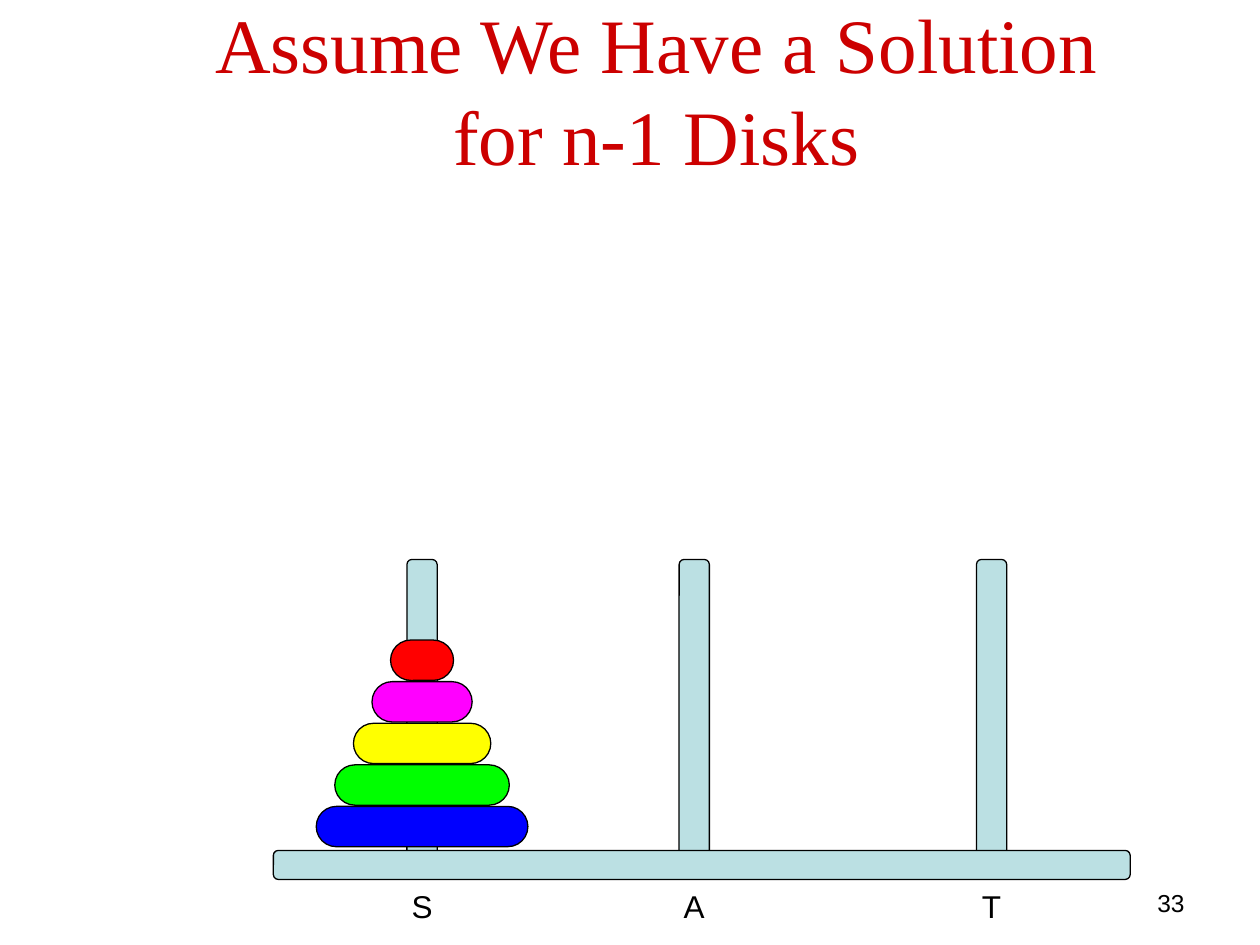
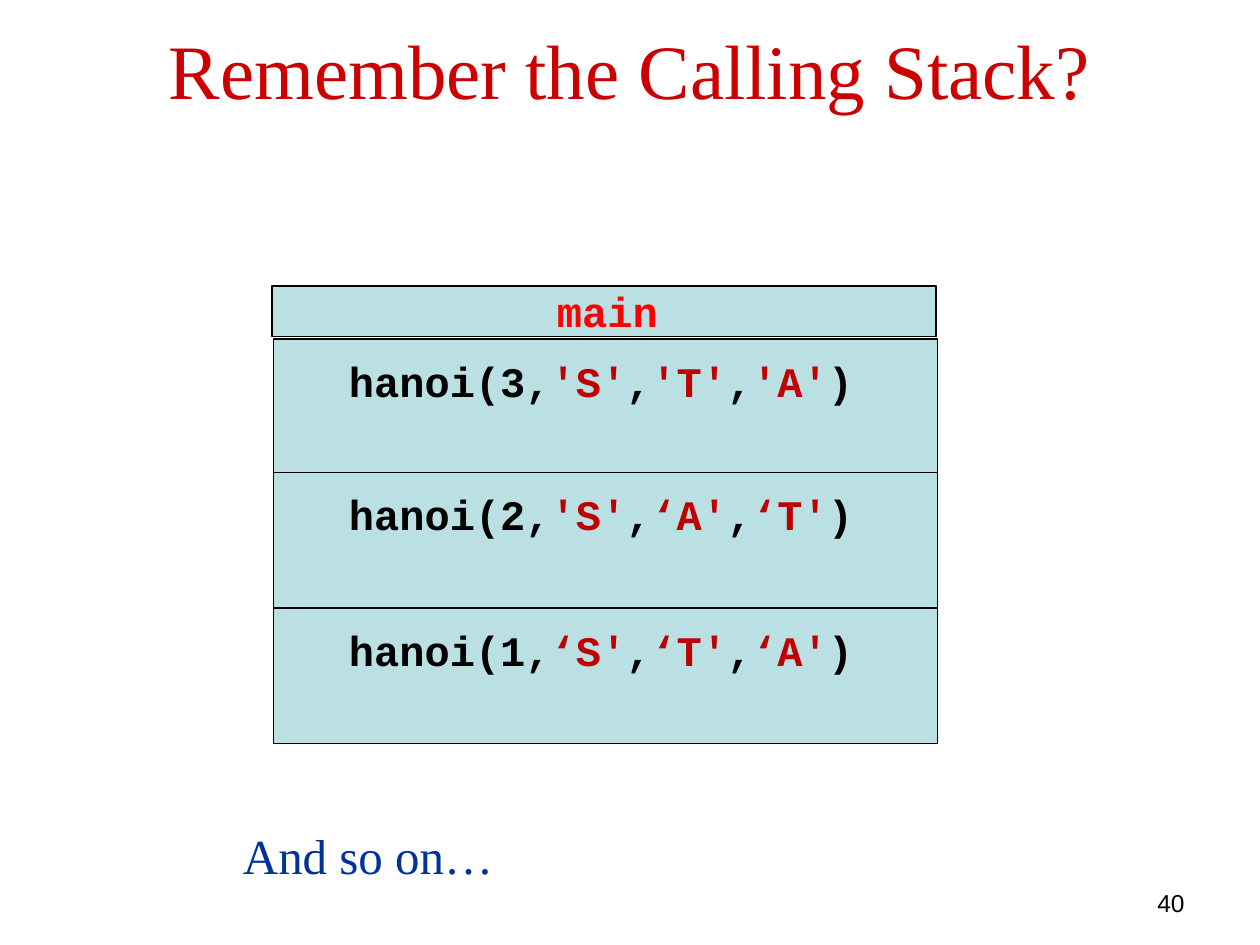
from pptx import Presentation
from pptx.dml.color import RGBColor
from pptx.enum import shapes as kinds, text as txt
from pptx.util import Inches, Pt

BLACK, WOOD = "000000", "BBE0E3"
TITLE, QUOTE, NOTE = "CC0000", "C00000", "003399"
SANS, SERIF, MONO = "Arial", "Times New Roman", "Courier New"
LEFT, MID, RIGHT = txt.PP_ALIGN.LEFT, txt.PP_ALIGN.CENTER, txt.PP_ALIGN.RIGHT
RECT, ROUND = kinds.MSO_SHAPE.RECTANGLE, kinds.MSO_SHAPE.ROUNDED_RECTANGLE


def color(code):
    return RGBColor.from_string(code)


def add_text(parent, box, runs, size, font, align=MID, bold=False,
             anchor=txt.MSO_ANCHOR.TOP):
    """Add a text box; runs are (text, colour) pairs."""
    frame = parent.add_textbox(*map(Inches, box)).text_frame
    frame.word_wrap = True
    frame.vertical_anchor = anchor
    para = frame.paragraphs[0]
    para.alignment = align
    for words, code in runs:
        run = para.add_run()
        run.text = words
        run.font.name = font
        run.font.size = Pt(size)
        run.font.bold = bold
        run.font.color.rgb = color(code)


def add_block(parent, kind, box, fill, curve=None):
    block = parent.add_shape(kind, *map(Inches, box))
    block.shadow.inherit = False
    block.fill.solid()
    block.fill.fore_color.rgb = color(fill)
    block.line.color.rgb = color(BLACK)
    block.line.width = Pt(0.75)
    if curve is not None:
        block.adjustments[0] = curve


def add_slide(deck, number, title, box):
    """Add a slide with its page number and title; return its shapes."""
    parts = deck.slides.add_slide(deck.slide_layouts[6]).shapes
    add_text(parts, (7.17, 7, 2.33, 0.25), [(number, BLACK)], 14, SANS, RIGHT)
    add_text(parts, box, [(title, TITLE)], 44, SERIF,
             anchor=txt.MSO_ANCHOR.MIDDLE)
    return parts


def add_tower(parts):
    pegs = {"S": 3.35, "A": 5.51, "T": 7.87}
    for name, mid in pegs.items():
        add_block(parts, ROUND, (mid - 0.12, 4.44, 0.24, 2.45), WOOD, 0.167)
        add_text(parts, (mid - 0.38, 6.99, 0.76, 0.4), [(name, BLACK)],
                 18, SANS)
    add_block(parts, ROUND, (2.17, 6.75, 6.8, 0.23), WOOD, 0.167)
    disks = ["0000FF", "00FF00", "FFFF00", "FF00FF", "FF0000"]
    for level, fill in enumerate(disks):
        wide = 1.68 - 0.295 * level
        box = (pegs["S"] - wide / 2, 6.4 - 0.33 * level, wide, 0.32)
        add_block(parts, ROUND, box, fill, 0.5)


def add_frame(parts, box, label, runs):
    """Add one stack frame: a box grouped with its label."""
    group = parts.add_group_shape().shapes
    add_block(group, RECT, box, WOOD)
    add_text(group, label, runs, 24, MONO, bold=True)


def add_call(parts, top, count, pegs):
    runs = [(f"hanoi({count},", BLACK)]
    for peg in pegs:
        runs += [(peg, QUOTE), (",", BLACK)]
    runs[-1] = (")", BLACK)
    add_frame(parts, (2.17, top, 5.27, 1.07),
              (2.33, top + 0.08, 4.88, 0.5), runs)


def main():
    deck = Presentation()
    deck.slide_width, deck.slide_height = Inches(10), Inches(7.5)

    parts = add_slide(deck, "33", "Assume We Have a Solution for n-1 Disks",
                      (1.25, 0.08, 7.92, 1.25))
    add_tower(parts)

    parts = add_slide(deck, "40", "Remember the Calling Stack?",
                      (0.5, -0.08, 9, 1.25))
    add_frame(parts, (2.16, 2.27, 5.27, 0.4), (2.38, 2.22, 4.88, 0.38),
              [("main", "FF0000")])
    add_call(parts, 2.69, 3, ["'S'", "'T'", "'A'"])
    add_call(parts, 3.75, 2, ["'S'", "‘A'", "‘T'"])
    add_call(parts, 4.83, 1, ["‘S'", "‘T'", "‘A'"])
    add_text(parts, (1.83, 6.5, 5.17, 0.57), [("And so on…", NOTE)],
             28, SERIF, LEFT)

    deck.save("out.pptx")


if __name__ == "__main__":
    main()
